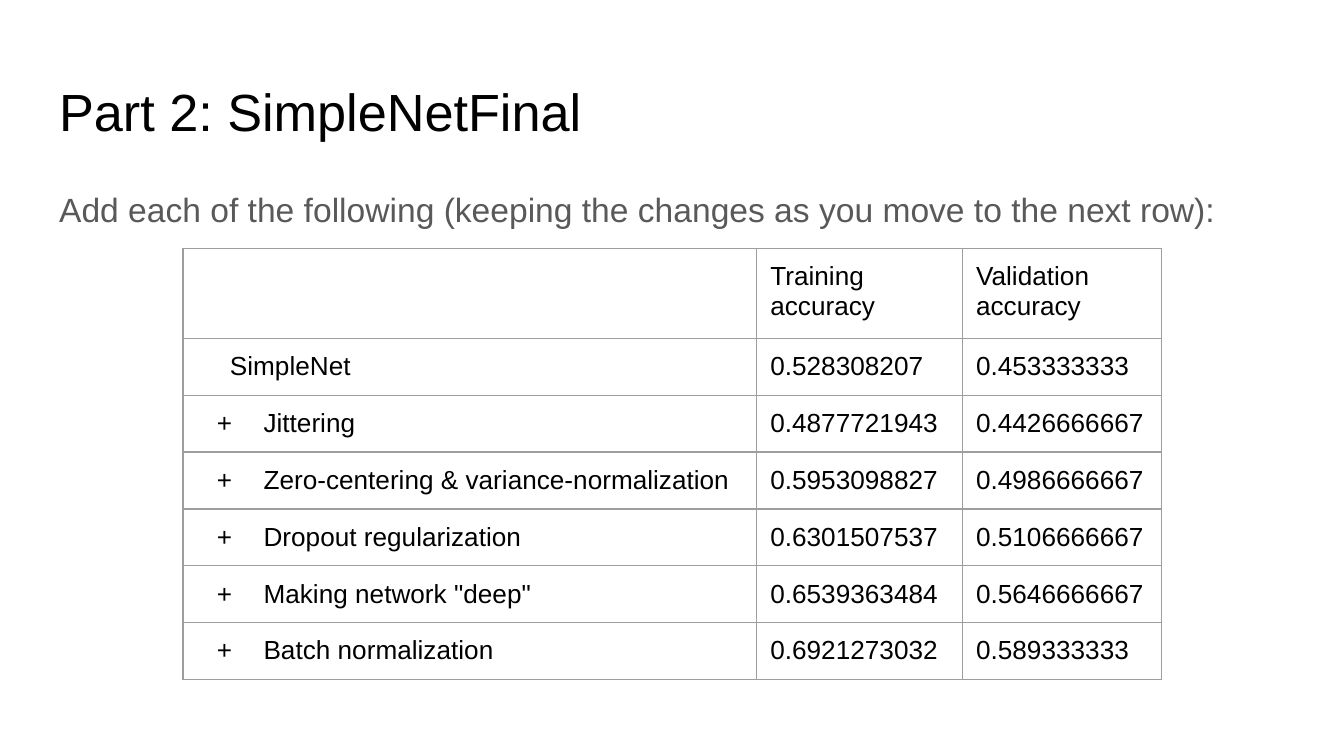
from lxml.etree import SubElement
from pptx import Presentation
from pptx.dml.color import RGBColor
from pptx.enum.text import MSO_ANCHOR, MSO_AUTO_SIZE, PP_ALIGN
from pptx.oxml.ns import qn
from pptx.util import Pt

COLORS = {"text": "000000", "body": "595959", "border": "9E9E9E"}
FONT = "Arial"
INSET = Pt(7.2)
COL_WIDTHS = [307.5, 110.25, 106.75]
HEADER_HEIGHT = 48
ROW_HEIGHT = 30.5
HEADER = ["", "Training accuracy", "Validation accuracy"]
ROWS = [
    ["SimpleNet", "0.528308207", "0.453333333"],
    ["Jittering", "0.4877721943", "0.4426666667"],
    ["Zero-centering & variance-normalization", "0.5953098827", "0.4986666667"],
    ["Dropout regularization", "0.6301507537", "0.5106666667"],
    ['Making network "deep"', "0.6539363484", "0.5646666667"],
    ["Batch normalization", "0.6921273032", "0.589333333"],
]


def add_run(p, text, size, color):
    r = p.add_run()
    r.text = text
    r.font.name = FONT
    r.font.size = Pt(size)
    r.font.color.rgb = RGBColor.from_string(COLORS[color])


def set_indent(p, left, first=0):
    pPr = p._p.get_or_add_pPr()
    pPr.set("marL", str(Pt(left)))
    pPr.set("indent", str(Pt(first)))
    return pPr


def add_plus_bullet(p):
    pPr = set_indent(p, 36, -25)
    clr = SubElement(pPr, qn("a:buClr"))
    SubElement(clr, qn("a:srgbClr"), val=COLORS["text"])
    SubElement(pPr, qn("a:buFont"), typeface=FONT)
    SubElement(pPr, qn("a:buChar"), char="+")


def fill_placeholder(sp, top, height, text, size, color, spacing):
    sp.left, sp.top, sp.width, sp.height = Pt(24.5), Pt(top), Pt(671), Pt(height)
    tf = sp.text_frame
    tf.word_wrap = True
    tf.auto_size = MSO_AUTO_SIZE.NONE
    tf.vertical_anchor = MSO_ANCHOR.TOP
    tf.margin_left = tf.margin_right = tf.margin_top = tf.margin_bottom = INSET
    p = tf.paragraphs[0]
    p.alignment = PP_ALIGN.LEFT
    p.line_spacing = spacing
    p.space_before = Pt(0)
    SubElement(set_indent(p, 0), qn("a:buNone"))
    add_run(p, text, size, color)


def style_cell(cell):
    cell.margin_left = cell.margin_right = INSET
    cell.margin_top = cell.margin_bottom = INSET
    tcPr = cell._tc.get_or_add_tcPr()
    for side in ("lnL", "lnR", "lnT", "lnB"):
        ln = SubElement(tcPr, qn(f"a:{side}"), w=str(Pt(0.75)))
        fill = SubElement(ln, qn("a:solidFill"))
        SubElement(fill, qn("a:srgbClr"), val=COLORS["border"])
    cell.fill.background()


def add_accuracy_table(s):
    rows = [HEADER] + ROWS
    height = HEADER_HEIGHT + ROW_HEIGHT * len(ROWS)
    frame = s.shapes.add_table(len(rows), len(HEADER), Pt(98), Pt(133.25),
                               Pt(sum(COL_WIDTHS)), Pt(height))
    table = frame.table
    table.first_row = table.horz_banding = False
    for col, width in zip(table.columns, COL_WIDTHS):
        col.width = Pt(width)
    for i, values in enumerate(rows):
        table.rows[i].height = Pt(ROW_HEIGHT if i else HEADER_HEIGHT)
        for j, text in enumerate(values):
            cell = table.cell(i, j)
            style_cell(cell)
            p = cell.text_frame.paragraphs[0]
            if j == 0 and i == 1:
                set_indent(p, 18)
            elif j == 0 and i > 1:
                add_plus_bullet(p)
            if text:
                add_run(p, text, 14, "text")


def main():
    prs = Presentation()
    prs.slide_width, prs.slide_height = Pt(720), Pt(405)
    s = prs.slides.add_slide(prs.slide_layouts[1])
    fill_placeholder(s.shapes.title, 35, 45, "Part 2: SimpleNetFinal", 28, "text", 1)
    fill_placeholder(
        s.placeholders[1], 90.75, 269,
        "Add each of the following (keeping the changes as you move to the next row):",
        18, "body", 1.15)
    add_accuracy_table(s)
    prs.save("out.pptx")


if __name__ == "__main__":
    main()
